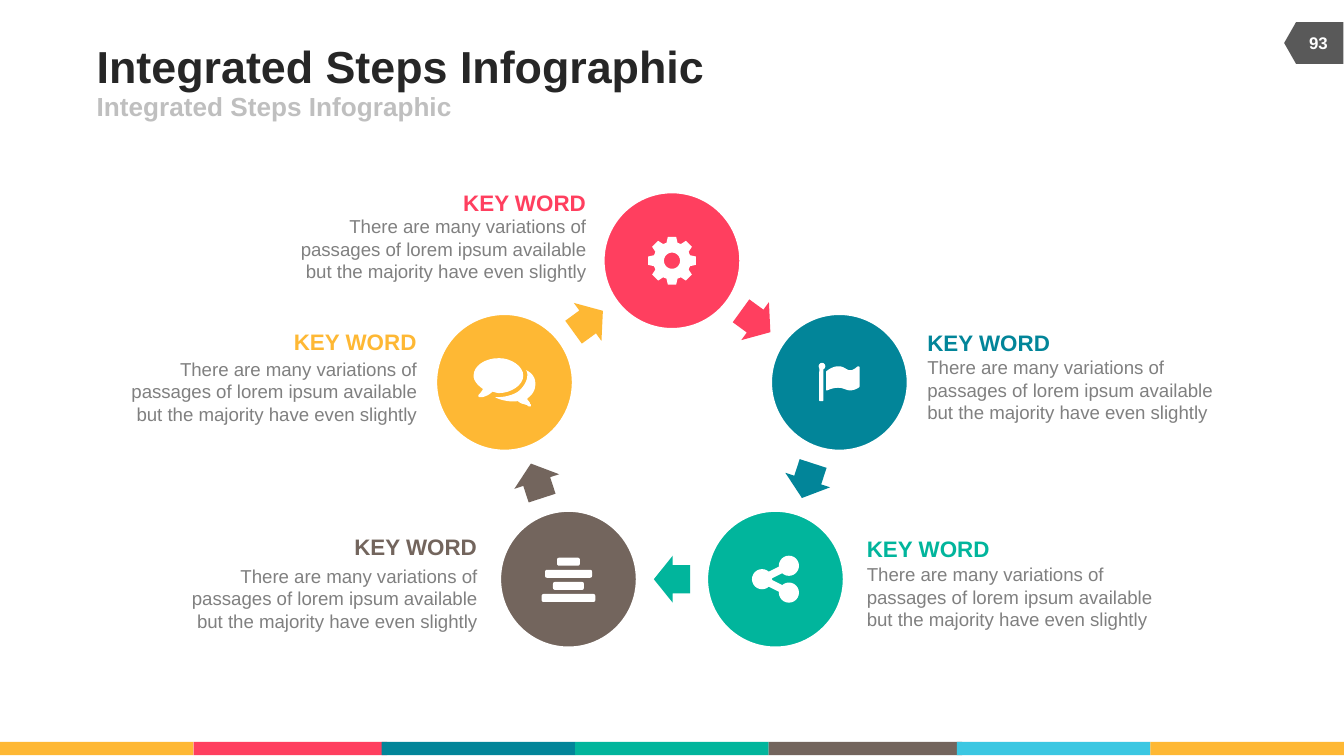
import math

import pptx
import pptx.dml.color
import pptx.enum.shapes
import pptx.enum.text
import pptx.oxml.ns
import pptx.util
from lxml import etree

Inches = pptx.util.Inches
SHAPE = pptx.enum.shapes.MSO_SHAPE
ALIGN = pptx.enum.text.PP_ALIGN

WHITE, YELLOW, PINK, TEAL = "FFFFFF", "FEB834", "FF3F5F", "028599"
GREEN, BROWN, SKY = "01B59C", "73655D", "3BC7E2"
TITLE = "Integrated Steps Infographic"
BODY = ("There are many variations of passages of lorem ipsum available "
        "but the majority have even slightly")


def rgb(color):
    return pptx.dml.color.RGBColor.from_string(color)


def polar(center_x, center_y, radius, degrees):
    """Point at an angle measured clockwise from straight up."""
    angle = math.radians(degrees)
    return center_x + radius * math.sin(angle), center_y - radius * math.cos(angle)


def flatten(contour, samples=8):
    """Turn a contour of points and six-number cubic curves into plain points."""
    points = []
    for step in contour:
        if len(step) == 2:
            points.append(step)
            continue
        corners = [points[-1], step[:2], step[2:4], step[4:]]
        for index in range(1, samples + 1):
            t = index / samples
            weights = ((1 - t) ** 3, 3 * t * (1 - t) ** 2, 3 * t ** 2 * (1 - t), t ** 3)
            points.append(tuple(sum(weight * corner[axis] for weight, corner in zip(weights, corners))
                                for axis in (0, 1)))
    return points


class Canvas:
    """Holds the text style and the current slide."""
    font = "Arial"

    def __init__(self, slide):
        self.slide = slide

    def finish(self, shape, color):
        shape.shadow.inherit = False
        shape.fill.solid()
        shape.fill.fore_color.rgb = rgb(color)
        shape.line.fill.background()
        return shape

    def shape(self, kind, left, top, width, height, color, rotation=0):
        shape = self.slide.shapes.add_shape(
            kind, Inches(left), Inches(top), Inches(width), Inches(height))
        shape.rotation = rotation
        return self.finish(shape, color)

    def circle(self, center_x, center_y, diameter, color):
        return self.shape(SHAPE.OVAL, center_x - diameter / 2, center_y - diameter / 2,
                          diameter, diameter, color)

    def outline(self, contours, origin_x, origin_y, color):
        """Draw closed contours around an origin, as one freeform."""
        builder = None
        for contour in contours:
            points = [(Inches(origin_x + x), Inches(origin_y + y)) for x, y in flatten(contour)]
            if builder is None:
                builder = self.slide.shapes.build_freeform(*points[0])
            else:
                builder.move_to(*points[0])
            builder.add_line_segments(points[1:], close=True)
        return self.finish(builder.convert_to_shape(), color)

    def line(self, start, end, color, width):
        ends = [Inches(value) for value in (*start, *end)]
        connector = self.slide.shapes.add_connector(
            pptx.enum.shapes.MSO_CONNECTOR.STRAIGHT, *ends)
        connector.line.color.rgb = rgb(color)
        connector.line.width = pptx.util.Pt(width)
        etree.SubElement(connector._element.spPr, pptx.oxml.ns.qn("a:effectLst"))

    def text(self, text, left, top, width, height, size, color,
             bold=False, align=ALIGN.LEFT, wrap=False):
        box = self.slide.shapes.add_textbox(
            Inches(left), Inches(top), Inches(width), Inches(height))
        frame = box.text_frame
        frame.margin_left = frame.margin_right = frame.margin_top = frame.margin_bottom = 0
        frame.word_wrap = wrap
        frame.vertical_anchor = pptx.enum.text.MSO_ANCHOR.MIDDLE
        frame.text = text
        paragraph = frame.paragraphs[0]
        paragraph.alignment = align
        font = paragraph.runs[0].font
        font.name, font.size, font.bold = self.font, pptx.util.Pt(size), bold
        font.color.rgb = rgb(color)

    def caption(self, color, edge, align, keyword_top, body_top):
        """Place a keyword and its body against a left or right edge."""
        for text, top, width, height, size, tint, is_keyword in (
                ("KEY WORD", keyword_top, 0.92, 0.2, 12, color, True),
                (BODY, body_top, 2.13, 0.5, 10, "808080", False)):
            left = edge - width if align == ALIGN.RIGHT else edge
            self.text(text, left, top, width, height, size, tint,
                      bold=is_keyword, align=align, wrap=not is_keyword)


def draw_gear(canvas, x, y):
    teeth = [polar(0, 0, radius, 45 * tooth + offset) for tooth in range(8)
             for offset, radius in ((-17, 0.14), (-10, 0.18), (10, 0.18), (17, 0.14))]
    hole = [polar(0, 0, 0.06, -10 * index) for index in range(36)]
    canvas.outline([teeth, hole], x, y, WHITE)


def draw_flag(canvas, x, y):
    canvas.shape(SHAPE.ROUNDED_RECTANGLE, x - 0.15, y - 0.12, 0.03, 0.26, WHITE)
    canvas.circle(x - 0.13, y - 0.12, 0.05, WHITE)
    cloth = [(-0.1, -0.08), (-0.08, -0.1, -0.04, -0.12, -0.01, -0.12),
             (0.04, -0.12, 0.05, -0.09, 0.08, -0.09), (0.11, -0.09, 0.13, -0.12, 0.14, -0.12),
             (0.15, -0.12, 0.15, -0.11, 0.15, -0.11), (0.15, 0.03),
             (0.15, 0.04, 0.11, 0.06, 0.08, 0.06), (0.05, 0.06, 0.03, 0.04, -0.01, 0.04),
             (-0.04, 0.04, -0.07, 0.05, -0.09, 0.06), (-0.1, 0.06, -0.1, 0.06, -0.1, 0.05)]
    canvas.outline([cloth], x, y, WHITE)


def draw_share(canvas, x, y):
    hub = (x - 0.1, y)
    for node in ((x + 0.1, y - 0.1), (x + 0.1, y + 0.1)):
        canvas.line(hub, node, WHITE, 4)
        canvas.circle(*node, 0.15, WHITE)
    canvas.circle(*hub, 0.15, WHITE)


def draw_bars(canvas, x, y):
    for row, width in enumerate((0.17, 0.35, 0.23, 0.4)):
        canvas.shape(SHAPE.ROUNDED_RECTANGLE, x - width / 2, y - 0.16 + 0.09 * row,
                     width, 0.06, WHITE).adjustments[0] = 0.25


def draw_bubbles(canvas, x, y):
    front = [(-0.04, 0.08), (-0.06, 0.08, -0.08, 0.07, -0.09, 0.07),
             (-0.11, 0.09, -0.13, 0.1, -0.16, 0.11), (-0.17, 0.11, -0.18, 0.11, -0.19, 0.11),
             (-0.2, 0.1, -0.19, 0.09, -0.19, 0.09), (-0.18, 0.08, -0.17, 0.07, -0.16, 0.05),
             (-0.2, 0.02, -0.23, -0.01, -0.23, -0.05), (-0.23, -0.12, -0.15, -0.18, -0.04, -0.18),
             (0.05, -0.18, 0.14, -0.12, 0.14, -0.05), (0.14, 0.02, 0.05, 0.08, -0.04, 0.08)]
    back = [(0.17, 0.12), (0.17, 0.14, 0.19, 0.14, 0.19, 0.16),
            (0.2, 0.16, 0.2, 0.18, 0.19, 0.18), (0.19, 0.18, 0.17, 0.18, 0.17, 0.17),
            (0.14, 0.16, 0.12, 0.16, 0.1, 0.14), (0.04, 0.15, -0.04, 0.13, -0.07, 0.11),
            (-0.06, 0.11, -0.05, 0.11, -0.04, 0.11), (0.01, 0.11, 0.07, 0.09, 0.1, 0.07),
            (0.14, 0.04, 0.17, -0.01, 0.17, -0.05), (0.17, -0.07, 0.17, -0.08, 0.16, -0.09),
            (0.21, -0.07, 0.23, -0.03, 0.23, 0.01), (0.23, 0.06, 0.21, 0.09, 0.17, 0.12)]
    canvas.outline([front, back], x, y, WHITE)


def main():
    presentation = pptx.Presentation()
    presentation.slide_width = Inches(10)
    presentation.slide_height = presentation.slide_width * 9 // 16
    canvas = Canvas(presentation.slides.add_slide(presentation.slide_layouts[6]))

    stripes = (0, YELLOW), (1.44, PINK), (2.84, TEAL), (4.28, GREEN), (5.72, BROWN), (7.12, SKY), (8.56, YELLOW)
    for left, color in stripes:
        canvas.shape(SHAPE.RECTANGLE, left, 5.52, 1.44, 0.1, color)
    canvas.shape(SHAPE.FLOWCHART_OFFPAGE_CONNECTOR, 9.62, 0.1, 0.31, 0.44, "595959", rotation=90)
    canvas.text("93", 9.6, 0.17, 0.42, 0.3, 9, WHITE, bold=True, align=ALIGN.CENTER)
    canvas.text(TITLE, 0.72, 0.29, 6.17, 0.39, 24, "262626", bold=True)
    canvas.text(TITLE, 0.72, 0.68, 4.5, 0.22, 14, "BFBFBF", bold=True)

    # Clockwise from the top: colour, icon, caption edge, alignment, keyword top, body top
    steps = [
        (PINK, draw_gear, 4.36, ALIGN.RIGHT, 1.41, 1.6),
        (TEAL, draw_flag, 6.9, ALIGN.LEFT, 2.45, 2.65),
        (GREEN, draw_share, 6.45, ALIGN.LEFT, 3.98, 4.19),
        (BROWN, draw_bars, 3.55, ALIGN.RIGHT, 3.97, 4.2),
        (YELLOW, draw_bubbles, 3.1, ALIGN.RIGHT, 2.44, 2.66),
    ]
    ring_x, ring_y, ring_radius = 5, 3.25, 1.31
    turn = 360 / len(steps)
    arrow_radius = ring_radius * math.cos(math.radians(turn / 2))
    for index, (color, draw_icon, *caption) in enumerate(steps):
        center = polar(ring_x, ring_y, ring_radius, turn * index)
        circle = canvas.circle(*center, 1.03, color)
        circle.line.color.rgb = rgb(WHITE)
        circle.line.width = pptx.util.Pt(2)
        draw_icon(canvas, *center)
        heading = turn * (index + 0.5)
        arrow_x, arrow_y = polar(ring_x, ring_y, arrow_radius, heading)
        arrow = canvas.shape(SHAPE.RIGHT_ARROW, arrow_x - 0.135, arrow_y - 0.175,
                             0.27, 0.35, color, rotation=heading)
        arrow.adjustments[0], arrow.adjustments[1] = 0.6, 0.52
        canvas.caption(color, *caption)

    presentation.save("out.pptx")


if __name__ == "__main__":
    main()
